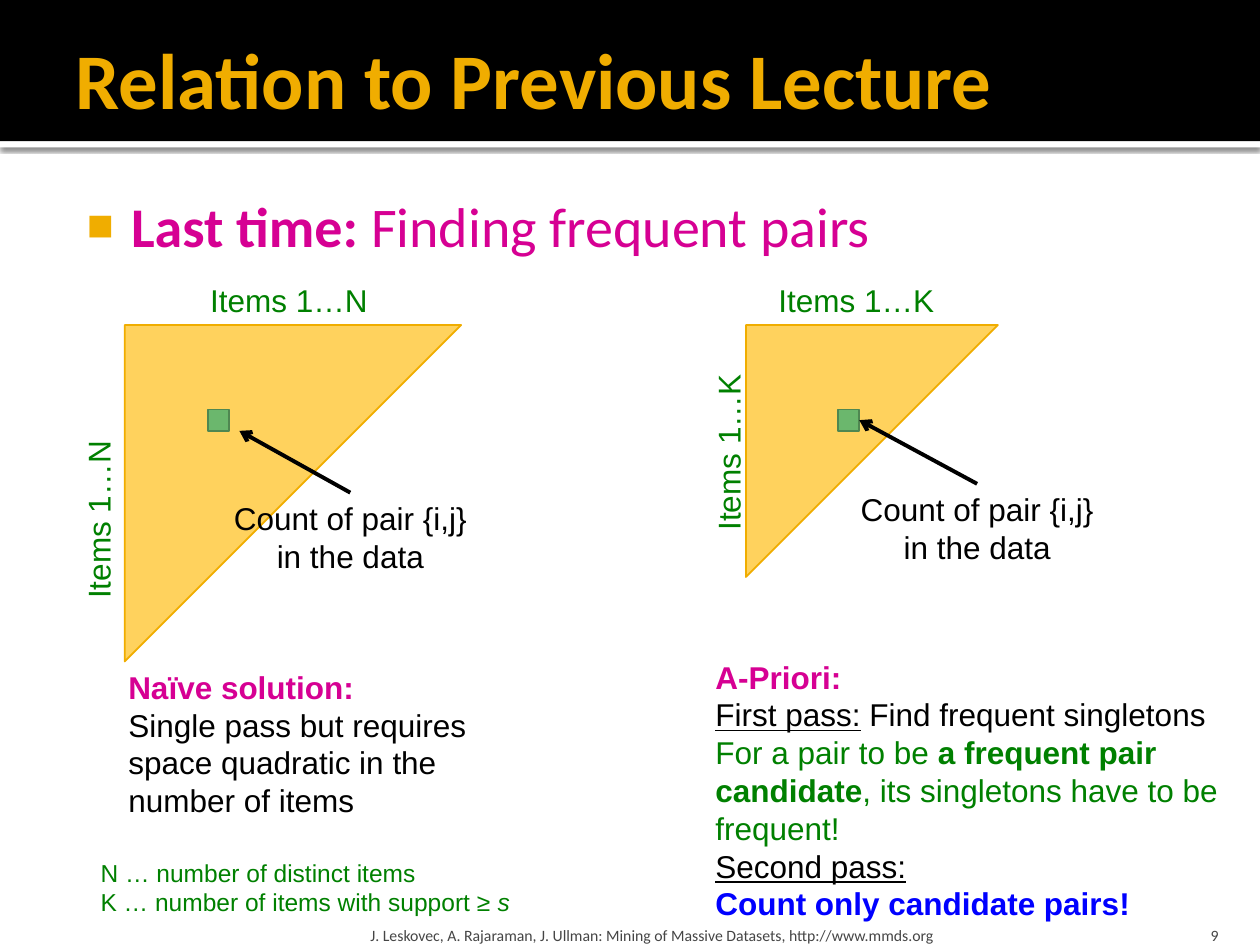
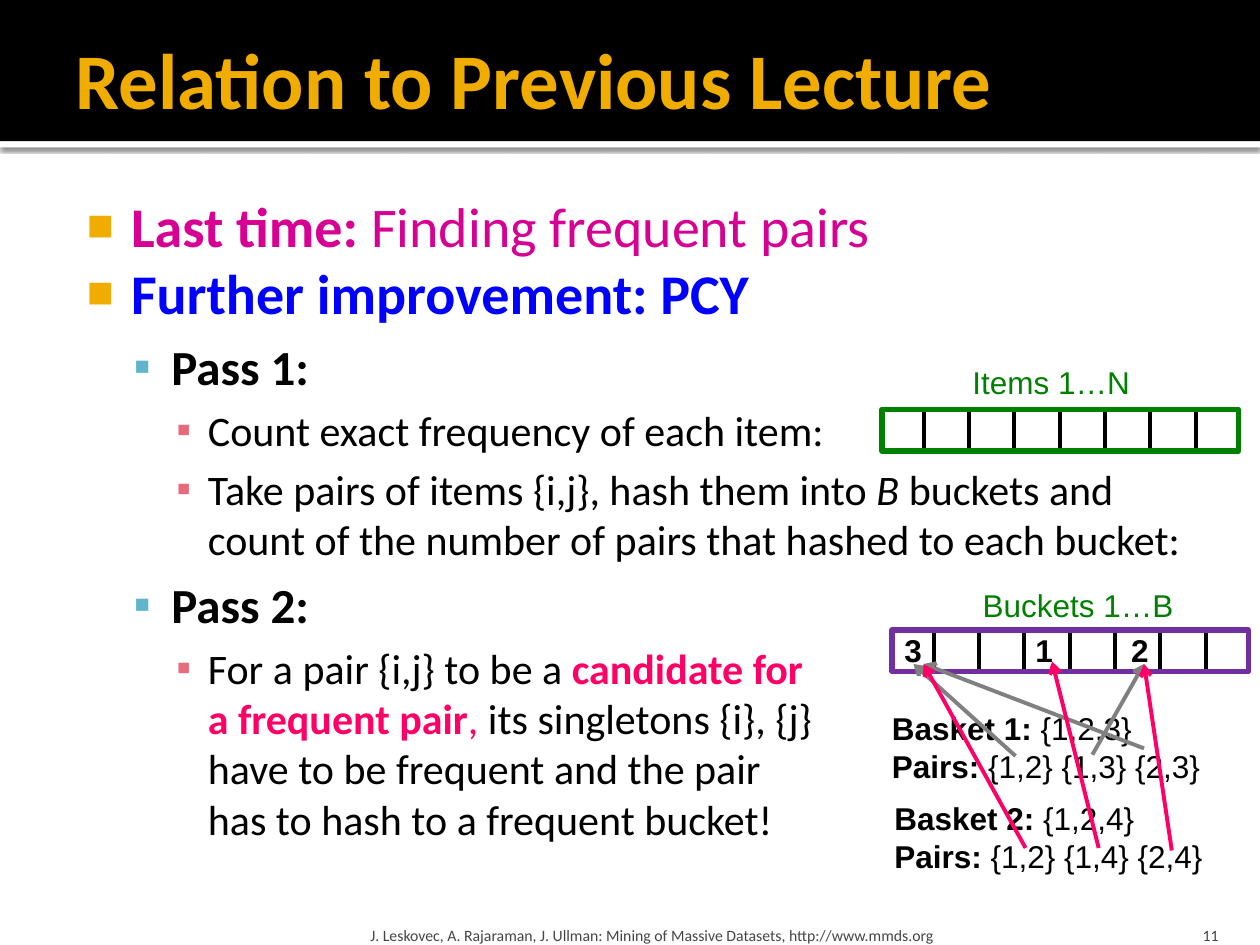
from dataclasses import dataclass
from typing import Any, NamedTuple, Optional

from lxml import etree
from pptx import Presentation
from pptx import util as u
from pptx.dml import color
from pptx.enum import shapes, text
from pptx.oxml import ns

Inches, Pt = u.Inches, u.Pt
RGB = color.RGBColor.from_string
LEFT, CENTER, RIGHT = text.PP_ALIGN.LEFT, text.PP_ALIGN.CENTER, text.PP_ALIGN.RIGHT


@dataclass(frozen=True)
class Theme:
    black: str = "000000"
    white: str = "FFFFFF"
    gold: str = "F0AD00"
    triangle: str = "FFD25D"
    cell: str = "6BB76D"
    cell_edge: str = "4F8751"
    magenta: str = "D60093"
    pink: str = "FF0066"
    green: str = "008000"
    blue: str = "0000FF"
    purple: str = "7030A0"
    gray: str = "808080"
    footer: str = "454545"
    title_size: int = 45
    label_size: int = 18
    note_size: int = 14
    footer_size: int = 9
    heading_font: str = "Calibri"
    label_font: str = "Arial"


T = Theme()
TITLE = "Relation to Previous Lecture"
CITATION = "J. Leskovec, A. Rajaraman, J. Ullman: Mining of Massive Datasets, http://www.mmds.org"


class Box(NamedTuple):
    x: float
    y: float
    w: float
    h: float


class Run(NamedTuple):
    text: str
    color: str = T.black
    bold: bool = False
    italic: bool = False
    underline: bool = False


class Item(NamedTuple):
    level: int
    runs: list[Run]


class Level(NamedTuple):
    size: int
    indent: float
    hanging: float
    before: int
    char: str
    color: str
    percent: int


class Matrix(NamedTuple):
    label: str
    triangle: Box
    top_label: Box
    side_label: Box
    cell_x: float
    count: Box
    tip: Optional[tuple[float, float]]


class Arrow(NamedTuple):
    start: tuple[float, float]
    end: tuple[float, float]
    color: str


LEVELS = [
    Level(32, 0.48, 0.35, 0, "■", T.gold, 80),
    Level(28, 0.8, 0.3, 6, "▪", "60B5CC", 100),
    Level(24, 1.09, 0.25, 5, "▪", "E66C7D", 100),
]
LAST_TIME = Item(0, [Run("Last time: ", T.magenta, True), Run("Finding frequent pairs", T.magenta)])

MATRICES = [
    Matrix("Items 1…N", Box(0.99, 2.58, 2.67, 2.67), Box(1.57, 2.18, 1.46, 0.4),
           Box(0.05, 3.92, 1.46, 0.4), 1.65, Box(1.74, 3.91, 2.08, 0.71), (1.9, 3.42)),
    Matrix("Items 1…K", Box(5.92, 2.58, 2, 2), Box(6.08, 2.18, 1.45, 0.4),
           Box(5.05, 3.38, 1.46, 0.4), 6.65, Box(6.67, 3.84, 2.17, 0.71), None),
]
NAIVE = [[
    Run("Naïve solution:\n", T.magenta, True),
    Run("Single pass but requires space quadratic in the number of items"),
]]
A_PRIORI = [
    [Run("A-Priori:\n", T.magenta, True), Run("First pass:", underline=True),
     Run(" Find frequent singletons")],
    [Run("For a pair to be ", T.green), Run("a frequent pair candidate", T.green, True),
     Run(", its singletons have to be frequent!\n", T.green),
     Run("Second pass:", underline=True), Run("\n"),
     Run("Count only candidate pairs!", T.blue, True)],
]
LEGEND = [
    [Run("N … number of distinct items", T.green)],
    [Run("K … number of items with support ≥ ", T.green), Run("s", T.green, italic=True)],
]
PCY = [
    LAST_TIME,
    Item(0, [Run("Further improvement: PCY", T.blue, True)]),
    Item(1, [Run("Pass 1:", bold=True)]),
    Item(2, [Run("Count exact frequency of each item:")]),
    Item(2, [Run("Take pairs of items {i,j}, hash them into "), Run("B", italic=True),
             Run(" buckets and count of the number of pairs that hashed to each bucket:")]),
    Item(1, [Run("Pass 2:", bold=True)]),
    Item(2, [Run("For a pair {i,j} to be a "),
             Run("candidate for \na frequent pair", T.pink, True), Run(", ", T.pink),
             Run("its singletons {i}, {j} \nhave to be frequent and the pair \n"
                 "has to hash to a frequent bucket!")]),
]
BASKETS = [
    ("Basket 1:", " {1,2,3}", " {1,2} {1,3} {2,3}", 6.98, 5.58),
    ("Basket 2:", " {1,2,4}", " {1,2} {1,4} {2,4}", 7, 6.29),
]
HASHES = [
    Arrow((8.06, 6), (7.25, 5.27), T.gray),
    Arrow((9.08, 5.94), (7.33, 5.27), T.gray),
    Arrow((8.67, 5.99), (9.08, 5.27), T.gray),
    Arrow((8.14, 6.73), (7.33, 5.27), T.pink),
    Arrow((9.3, 6.75), (9.08, 5.27), T.pink),
    Arrow((8.72, 6.73), (8.35, 5.25), T.pink),
]


def add_xml(parent: Any, tag: str, **attrs: Any) -> Any:
    return etree.SubElement(parent, ns.qn(tag), {k: str(v) for k, v in attrs.items()})


def place(sp: Any, box: Box) -> None:
    sp.left, sp.top, sp.width, sp.height = map(Inches, box)


def add_runs(p: Any, runs: list[Run], size: int, font: str) -> None:
    for run in runs:
        for i, part in enumerate(run.text.split("\n")):
            if i:
                p.add_line_break()
            if part:
                r = p.add_run()
                r.text = part
                r.font.name, r.font.size = font, Pt(size)
                r.font.bold, r.font.italic, r.font.underline = run.bold, run.italic, run.underline
                r.font.color.rgb = RGB(run.color)


def set_insets(tf: Any, left: float, top: float, right: float, bottom: float) -> None:
    tf.margin_left, tf.margin_top = Inches(left), Inches(top)
    tf.margin_right, tf.margin_bottom = Inches(right), Inches(bottom)


def add_text(s: Any, box: Box, paras: list[list[Run]], size: int = T.label_size,
             font: str = T.label_font, align: Any = LEFT, wrap: bool = True) -> Any:
    sp = s.shapes.add_textbox(*map(Inches, box))
    tf = sp.text_frame
    tf.word_wrap = wrap
    for i, runs in enumerate(paras):
        p = tf.add_paragraph() if i else tf.paragraphs[0]
        p.alignment = align
        add_runs(p, runs, size, font)
    return sp


def add_label(s: Any, box: Box, label: str) -> Any:
    return add_text(s, box, [[Run(label, T.green)]], wrap=False)


def add_shape(s: Any, kind: Any, box: Box, fill: Optional[str] = None,
              line: Optional[str] = None, width: float = 1) -> Any:
    sp = s.shapes.add_shape(kind, *map(Inches, box))
    sp.shadow.inherit = False
    if fill:
        sp.fill.solid()
        sp.fill.fore_color.rgb = RGB(fill)
    else:
        sp.fill.background()
    if line:
        sp.line.color.rgb = RGB(line)
        sp.line.width = Pt(width)
    else:
        sp.line.fill.background()
    return sp


def add_line(s: Any, start: tuple[float, float], end: tuple[float, float],
             rgb: str = T.black, arrow: bool = False) -> Any:
    cx = s.shapes.add_connector(shapes.MSO_CONNECTOR.STRAIGHT, *map(Inches, start + end))
    cx.line.color.rgb = RGB(rgb)
    cx.line.width = Pt(2.25)
    sp_pr = cx.element.spPr
    if arrow:
        add_xml(sp_pr.find(ns.qn("a:ln")), "a:tailEnd", type="arrow")
    add_xml(sp_pr, "a:effectLst")
    return cx


def add_band(s: Any) -> None:
    rect = shapes.MSO_SHAPE.RECTANGLE
    strip = add_shape(s, rect, Box(0, 1.12, 10, 0.05), T.white)
    shadow = add_xml(strip.element.spPr.find(ns.qn("a:effectLst")), "a:outerShdw",
                     blurRad=Pt(2.5), dist=Pt(0.8), dir=90 * 60000, rotWithShape=0)
    add_xml(add_xml(shadow, "a:srgbClr", val=T.black), "a:alpha", val=60000)
    band = add_shape(s, rect, Box(0, 0, 10, 1.12), T.black)
    for i, sp in enumerate((strip, band)):
        s.shapes.element.insert(2 + i, sp.element)


def add_bullets(sp: Any, items: list[Item]) -> None:
    tf = sp.text_frame
    tf.auto_size = text.MSO_AUTO_SIZE.NONE
    set_insets(tf, 0.06, 0.1, 0.1, 0.05)
    for i, item in enumerate(items):
        level = LEVELS[item.level]
        p = tf.add_paragraph() if i else tf.paragraphs[0]
        p.level = item.level
        p.space_before = Pt(level.before)
        pPr = p._p.get_or_add_pPr()
        pPr.set("marL", str(Inches(level.indent)))
        pPr.set("indent", str(-Inches(level.hanging)))
        add_xml(add_xml(pPr, "a:buClr"), "a:srgbClr", val=level.color)
        add_xml(pPr, "a:buSzPct", val=level.percent * 1000)
        add_xml(pPr, "a:buFont", typeface=T.label_font)
        add_xml(pPr, "a:buChar", char=level.char)
        add_runs(p, item.runs, level.size, T.heading_font)


def add_slide(prs: Any, number: int, items: list[Item], body_height: float) -> Any:
    s = prs.slides.add_slide(prs.slide_layouts[1])
    add_band(s)
    place(s.shapes.title, Box(0.5, 0.08, 9, 1.08))
    tf = s.shapes.title.text_frame
    tf.auto_size = text.MSO_AUTO_SIZE.NONE
    tf.vertical_anchor = text.MSO_ANCHOR.MIDDLE
    set_insets(tf, 0.1, 0.05, 0.05, 0.05)
    tf.paragraphs[0].alignment = LEFT
    add_runs(tf.paragraphs[0], [Run(TITLE, T.gold, True)], T.title_size, T.heading_font)
    body = s.placeholders[1]
    place(body, Box(0.5, 1.42, 9, body_height))
    add_bullets(body, items)
    for box, words, align, left, right in (
            (Box(2.89, 7.2, 6.02, 0.3), CITATION, LEFT, 0.05, 0.05),
            (Box(8.97, 7.2, 0.8, 0.3), str(number), RIGHT, 0.1, 0.1)):
        sp = add_text(s, box, [[Run(words, T.footer)]], T.footer_size, T.heading_font, align)
        sp.text_frame.vertical_anchor = text.MSO_ANCHOR.BOTTOM
        set_insets(sp.text_frame, left, 0.05, right, 0)
    return s


def add_matrix(s: Any, m: Matrix) -> None:
    add_shape(s, shapes.MSO_SHAPE.RIGHT_TRIANGLE, m.triangle, T.triangle, T.gold).rotation = 90
    add_label(s, m.side_label, m.label).rotation = 270
    add_label(s, m.top_label, m.label)
    cell = add_shape(s, shapes.MSO_SHAPE.RECTANGLE, Box(m.cell_x, 3.25, 0.17, 0.17),
                     T.cell, T.cell_edge)
    count = add_text(s, m.count, [[Run("Count of pair {i,j} in the data")]], align=CENTER)
    start = (m.count.x + m.count.w / 2, m.count.y)
    cx = add_line(s, start, m.tip or (m.cell_x + 0.17, 3.34), arrow=True)
    cx.begin_connect(count, 0)
    if m.tip is None:
        cx.end_connect(cell, 3)


def add_array(s: Any, x: float, y: float, rgb: str) -> None:
    group = s.shapes.add_group_shape()
    for i in range(7):
        divider_x = x + 0.33 + i * 0.36
        add_line(group, (divider_x, y), (divider_x, y + 0.33))
    add_shape(group, shapes.MSO_SHAPE.RECTANGLE, Box(x, y, 2.83, 0.33), line=rgb, width=3)


def build_comparison(prs: Any) -> None:
    s = add_slide(prs, 9, [LAST_TIME], 2)
    for m in MATRICES:
        add_matrix(s, m)
    add_text(s, Box(0.92, 5.25, 2.9, 1.31), NAIVE)
    add_text(s, Box(5.58, 5.17, 4.33, 2.22), A_PRIORI)
    add_text(s, Box(0.7, 6.76, 3.46, 0.57), LEGEND, T.note_size, wrap=False)


def build_pcy(prs: Any) -> None:
    s = add_slide(prs, 11, PCY, 5.92)
    add_array(s, 7, 3.25, T.green)
    add_array(s, 7.08, 5, T.purple)
    add_label(s, Box(7.62, 2.83, 1.46, 0.4), "Items 1…N")
    add_label(s, Box(7.7, 4.6, 1.73, 0.4), "Buckets 1…B")
    for name, items, pairs, x, y in BASKETS:
        add_text(s, Box(x, y, 2.67, 0.71),
                 [[Run(name, bold=True), Run(items)], [Run("Pairs:", bold=True), Run(pairs)]],
                 wrap=False)
    counts = add_text(s, Box(7.08, 4.96, 2.17, 0.4), [[Run("3\t1\t2", bold=True)]])
    tabs = add_xml(counts.text_frame.paragraphs[0]._p.get_or_add_pPr(), "a:tabLst")
    for stop in (1.04, 1.8):
        add_xml(tabs, "a:tab", pos=Inches(stop), algn="l")
    for arrow in HASHES:
        add_line(s, arrow.start, arrow.end, arrow.color, arrow=True)


def main() -> None:
    prs = Presentation()
    prs.slide_width, prs.slide_height = Inches(10), Inches(7.5)
    build_comparison(prs)
    build_pcy(prs)
    prs.save("out.pptx")


if __name__ == "__main__":
    main()
